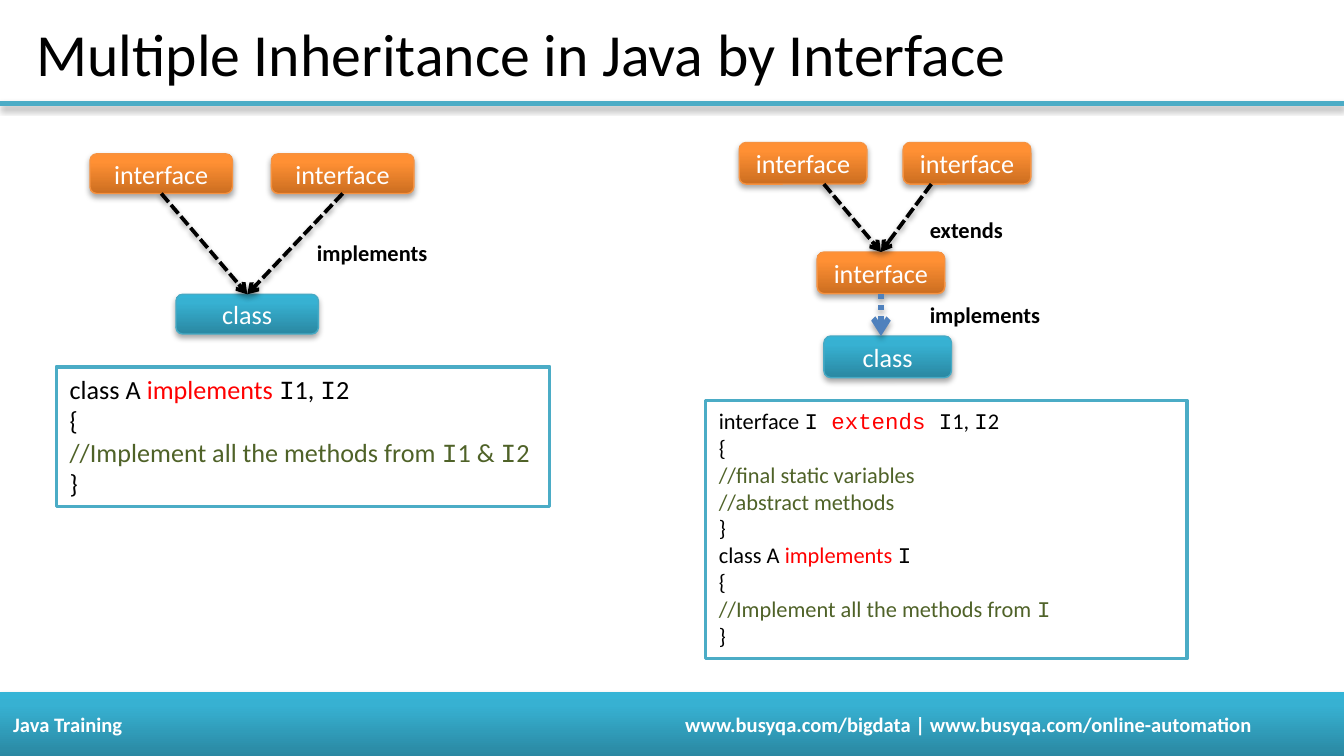
"""Build the slide on multiple inheritance in Java by interface."""
from typing import NamedTuple, Optional

from lxml import etree
from pptx import Presentation
from pptx.dml.color import RGBColor
from pptx.enum.dml import MSO_LINE
from pptx.enum.shapes import MSO_CONNECTOR, MSO_SHAPE
from pptx.enum.text import MSO_ANCHOR, MSO_AUTO_SIZE, PP_ALIGN
from pptx.oxml.ns import qn
from pptx.util import Pt

STRAIGHT = MSO_CONNECTOR.STRAIGHT
ROUNDED, RECTANGLE = MSO_SHAPE.ROUNDED_RECTANGLE, MSO_SHAPE.RECTANGLE
SYS_DASH, SYS_DOT = MSO_LINE.SQUARE_DOT, MSO_LINE.ROUND_DOT
MIDDLE, FIT_TEXT = MSO_ANCHOR.MIDDLE, MSO_AUTO_SIZE.SHAPE_TO_FIT_TEXT
LEFT, CENTER = PP_ALIGN.LEFT, PP_ALIGN.CENTER
TOP_SIDE, BOTTOM_SIDE = 0, 2

SLIDE_WIDTH, SLIDE_HEIGHT = 9144000, 5143500
COLUMNS, ROWS = 100, 56.25
BODY, MONO = "Calibri", "Courier New"
BLACK, WHITE, RED, GREEN = "000000", "FFFFFF", "FF0000", "4F6228"
TEAL, BLUE = "4BACC6", "4F81BD"
TEAL_FADE = ((0, "2A88A2"), (80, "37B1D2"), (100, "34B4D6"))
ORANGE_FADE = ((0, "CC6E20"), (80, "FF9034"), (100, "FF9136"))


class Run(NamedTuple):
    """A stretch of text in one colour and font."""
    text: str
    color: str = BLACK
    font: str = BODY


class Node(NamedTuple):
    """An interface or class box, placed in grid units."""
    text: str
    left: float
    top: float


class Arrow(NamedTuple):
    """An arrow between nodes; a given x leaves that end unjoined."""
    source: int
    target: int
    start_x: Optional[float] = None
    end_x: Optional[float] = None
    color: str = BLACK
    width: float = 2
    dash: MSO_LINE = SYS_DASH


class Diagram(NamedTuple):
    """A set of equal nodes with arrows and captions."""
    node_size: tuple
    nodes: tuple
    arrows: tuple
    captions: tuple


class CodeBox(NamedTuple):
    """A framed code sample."""
    place: tuple
    size: float
    wrap: bool
    lines: tuple


I, I_GREEN = Run("I", font=MONO), Run("I", GREEN, MONO)
OPEN, CLOSE = (Run("{"),), (Run("}"),)
COMMENT = Run("//Implement all the methods from ", GREEN)
CLASS_A = (Run("class A "), Run("implements ", RED), I)
I1_I2 = (I, Run("1, "), I, Run("2"))

DIAGRAMS = (
    Diagram(
        (10.6, 2.95),
        (Node("interface", 6.7, 11.45), Node("interface", 20.2, 11.45),
         Node("class", 13.1, 21.9)),
        (Arrow(0, 2), Arrow(1, 2)),
        (("implements", 22.6, 17.3, 10.3),)),
    Diagram(
        (9.5, 3.1),
        (Node("interface", 67.2, 10.6), Node("interface", 55, 10.6),
         Node("interface", 60.8, 18.75), Node("class", 61.3, 25)),
        (Arrow(1, 2, start_x=61.3), Arrow(0, 2, start_x=69.3),
         Arrow(2, 3, end_x=65.55, color=BLUE, width=3, dash=SYS_DOT)),
        (("extends", 68.2, 15.6, 7.5), ("implements", 68.2, 21.9, 10.3))),
)
CODE_BOXES = (
    CodeBox((4.2, 27.3, 36.7, 10.4), 14, False, (
        CLASS_A + (Run("1, "), I, Run("2")),
        OPEN,
        (COMMENT, I_GREEN, Run("1 & ", GREEN), I_GREEN, Run("2", GREEN)),
        CLOSE)),
    CodeBox((52.5, 29.8, 35.8, 19.2), 12, True, (
        (Run("interface "), Run("I ", font=MONO), Run("extends ", RED, MONO)) + I1_I2,
        OPEN,
        (Run("//final static variables", GREEN),),
        (Run("//abstract methods", GREEN),),
        CLOSE, CLASS_A, OPEN, (COMMENT, I_GREEN), CLOSE)),
)


def rgb(color: str) -> RGBColor:
    """Turn a hex string into a colour."""
    return RGBColor.from_string(color)


def grid(*lengths: float) -> list:
    """Turn x, y, width, height in grid units into slide lengths."""
    units = (SLIDE_WIDTH / COLUMNS, SLIDE_HEIGHT / ROWS)
    return [round(length * units[i % 2]) for i, length in enumerate(lengths)]


def child(parent, tag: str, **attributes):
    """Append a DrawingML element."""
    return etree.SubElement(parent, qn(tag), {k: str(v) for k, v in attributes.items()})


def cast_shadow(shape, distance: int = 23000, alpha: int = 35) -> None:
    """Give a shape a soft shadow below it."""
    effects = child(shape._element.spPr, "a:effectLst")
    shadow = child(effects, "a:outerShdw", blurRad=40000, dist=distance,
                   dir=5400000, rotWithShape=0)
    child(child(shadow, "a:srgbClr", val=BLACK), "a:alpha", val=alpha * 1000)


def fade(shape, stops: tuple) -> None:
    """Fill a shape with a gradient that runs upwards."""
    shape.fill.gradient()
    shape.fill.gradient_angle = 90
    stop_list = shape._element.spPr.find(qn("a:gradFill")).find(qn("a:gsLst"))
    for stop in list(stop_list):
        stop_list.remove(stop)
    for position, color in stops:
        child(child(stop_list, "a:gs", pos=position * 1000), "a:srgbClr", val=color)


def write(paragraph, runs: tuple, size: float, bold: bool = False, align=LEFT) -> None:
    """Add runs to a paragraph."""
    paragraph.alignment = align
    for text, color, font in runs:
        run = paragraph.add_run()
        run.text = text
        run.font.name, run.font.size, run.font.bold = font, Pt(size), bold
        run.font.color.rgb = rgb(color)


def stroke(shape, color: str, width: float) -> None:
    """Set the line of a shape or connector."""
    shape.line.color.rgb = rgb(color)
    shape.line.width = Pt(width)


def draw_node(shapes, node: Node, size: tuple):
    """Draw an interface or class box."""
    box = shapes.add_shape(ROUNDED, *grid(node.left, node.top, *size))
    is_class = node.text == "class"
    fade(box, TEAL_FADE if is_class else ORANGE_FADE)
    stroke(box, "46AAC5" if is_class else "F69240", 0.75)
    cast_shadow(box)
    box.text_frame.vertical_anchor = MIDDLE
    write(box.text_frame.paragraphs[0], (Run(node.text, WHITE),), 14, align=CENTER)
    return box


def draw_arrow(shapes, arrow: Arrow, boxes: list) -> None:
    """Draw a dashed arrow from the bottom of one box to the top of another."""
    source, target = boxes[arrow.source], boxes[arrow.target]
    start_x, end_x = grid(arrow.start_x or 0)[0], grid(arrow.end_x or 0)[0]
    line = shapes.add_connector(STRAIGHT, start_x, source.top + source.height, end_x, target.top)
    if arrow.start_x is None:
        line.begin_connect(source, BOTTOM_SIDE)
    if arrow.end_x is None:
        line.end_connect(target, TOP_SIDE)
    stroke(line, arrow.color, arrow.width)
    line.line.dash_style = arrow.dash
    child(line._element.spPr.find(qn("a:ln")), "a:tailEnd", type="arrow")
    cast_shadow(line, *((20000, 38) if arrow.color == BLACK else ()))


def draw_diagram(shapes, diagram: Diagram) -> None:
    """Draw the nodes, arrows and captions of a diagram."""
    boxes = [draw_node(shapes, node, diagram.node_size) for node in diagram.nodes]
    for arrow in diagram.arrows:
        draw_arrow(shapes, arrow, boxes)
    for text, left, top, width in diagram.captions:
        frame = shapes.add_textbox(*grid(left, top, width, 3)).text_frame
        frame.word_wrap, frame.auto_size = False, FIT_TEXT
        write(frame.paragraphs[0], (Run(text),), 12, bold=True)


def draw_code(shapes, code: CodeBox) -> None:
    """Draw a framed code sample."""
    box = shapes.add_textbox(*grid(*code.place))
    box.fill.solid()
    box.fill.fore_color.rgb = rgb(WHITE)
    stroke(box, TEAL, 2)
    frame = box.text_frame
    frame.word_wrap, frame.auto_size = code.wrap, FIT_TEXT
    for i, runs in enumerate(code.lines):
        write(frame.add_paragraph() if i else frame.paragraphs[0], runs, code.size)


def draw_frame(slide) -> None:
    """Draw the title, its rule and the footer."""
    rule = slide.shapes.add_connector(STRAIGHT, *grid(0, 7.7, COLUMNS, 7.7))
    stroke(rule, TEAL, 3)
    cast_shadow(rule)
    footer = slide.shapes.add_shape(RECTANGLE, *grid(0, 51.5, COLUMNS, 4.75))
    fade(footer, TEAL_FADE)
    footer.line.fill.background()
    cast_shadow(footer)
    footer.text_frame.vertical_anchor = MIDDLE
    paragraph = footer.text_frame.paragraphs[0]
    tabs = child(paragraph._p.get_or_add_pPr(), "a:tabLst")
    child(tabs, "a:tab", pos=grid(50)[0], algn="l")
    contact = "Java Training\twww.busyqa.com/bigdata | www.busyqa.com/online-automation"
    write(paragraph, (Run(contact, WHITE),), 11, bold=True)
    title = slide.shapes.title
    title.left, title.top, title.width, title.height = grid(1.7, 0.6, 90, 6.7)
    title.text_frame.vertical_anchor = MIDDLE
    write(title.text_frame.paragraphs[0], (Run("Multiple Inheritance in Java by Interface"),), 32)


def main() -> None:
    """Build and save the slide."""
    deck = Presentation()
    deck.slide_width, deck.slide_height = SLIDE_WIDTH, SLIDE_HEIGHT
    slide = deck.slides.add_slide(deck.slide_layouts[5])
    draw_frame(slide)
    for diagram in DIAGRAMS:
        draw_diagram(slide.shapes, diagram)
    for code in CODE_BOXES:
        draw_code(slide.shapes, code)
    deck.save("out.pptx")


if __name__ == "__main__":
    main()
